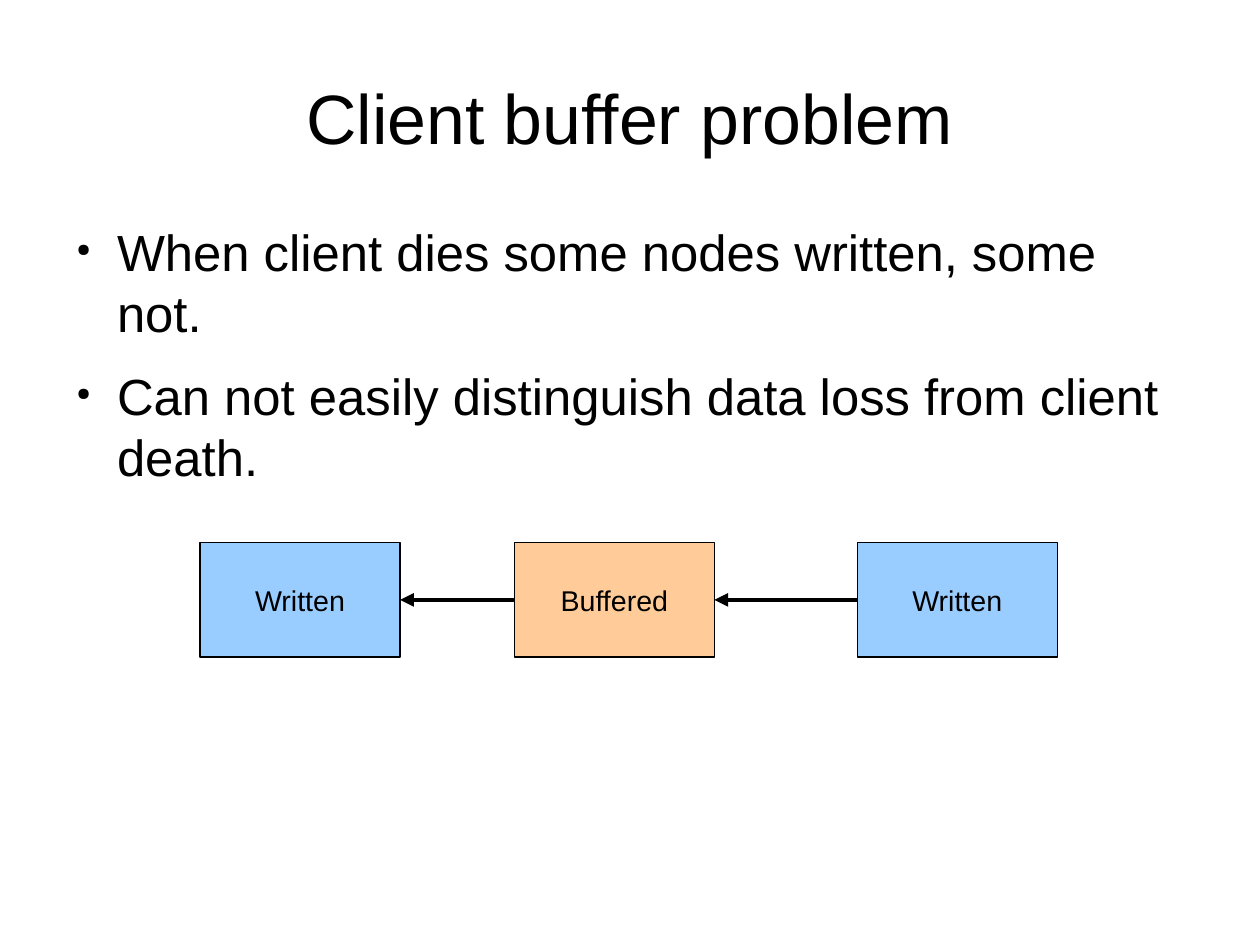
import pptx
import pptx.dml.color
import pptx.enum.shapes
import pptx.enum.text
import pptx.oxml.ns
import pptx.util
from lxml import etree

Pt = pptx.util.Pt
ALIGN = pptx.enum.text.PP_ALIGN
ANCHOR = pptx.enum.text.MSO_ANCHOR
COLORS = {"ink": "000000", "written": "99CCFF", "buffered": "FFCC99"}
LEFT_SITE, RIGHT_SITE = 1, 3


def rgb(name):
    return pptx.dml.color.RGBColor.from_string(COLORS[name])


def add_xml(parent, tag, **attributes):
    return etree.SubElement(parent, pptx.oxml.ns.qn(tag), attributes)


class SlideBuilder:
    font_name = "Arial"

    def __init__(self, slide):
        self.slide = slide

    def style(self, paragraph, size, align):
        paragraph.alignment = align
        paragraph.font.name = self.font_name
        paragraph.font.size = Pt(size)
        paragraph.font.color.rgb = rgb("ink")

    def text_frame(self, left, top, width, height, anchor):
        """Add a wrapping text box without margins and return its frame."""
        box = self.slide.shapes.add_textbox(Pt(left), Pt(top), Pt(width), Pt(height))
        frame = box.text_frame
        frame.word_wrap = True
        frame.vertical_anchor = anchor
        frame.margin_left = frame.margin_right = 0
        frame.margin_top = frame.margin_bottom = 0
        return frame

    def title(self, text, left, top, width, height):
        frame = self.text_frame(left, top, width, height, ANCHOR.MIDDLE)
        frame.text = text
        self.style(frame.paragraphs[0], 44, ALIGN.CENTER)

    def bullets(self, items, left, top, width, height):
        frame = self.text_frame(left, top, width, height, ANCHOR.TOP)
        frame.text = "\n".join(items)
        for paragraph in frame.paragraphs:
            paragraph.space_after = Pt(14.2)
            properties = paragraph._p.get_or_add_pPr()
            properties.set("marL", str(Pt(34)))
            properties.set("indent", str(Pt(-25.5)))
            color = add_xml(properties, "a:buClr")
            add_xml(color, "a:srgbClr", val=COLORS["ink"])
            add_xml(properties, "a:buSzPct", val="35000")
            add_xml(properties, "a:buChar", char="●")
            self.style(paragraph, 32, ALIGN.LEFT)

    def node(self, label, fill, left, top, width, height):
        node = self.slide.shapes.add_shape(
            pptx.enum.shapes.MSO_SHAPE.RECTANGLE, Pt(left), Pt(top), Pt(width), Pt(height))
        node.shadow.inherit = False
        node.fill.solid()
        node.fill.fore_color.rgb = rgb(fill)
        node.line.color.rgb = rgb("ink")
        node.line.width = Pt(0)
        node.text_frame.text = label
        node.text_frame.vertical_anchor = ANCHOR.MIDDLE
        self.style(node.text_frame.paragraphs[0], 18, ALIGN.CENTER)
        return node

    def arrow(self, source, target):
        """Point from the left side of source to the right side of target."""
        arrow = self.slide.shapes.add_connector(
            pptx.enum.shapes.MSO_CONNECTOR.STRAIGHT, 0, 0, 0, 0)
        arrow.begin_connect(source, LEFT_SITE)
        arrow.end_connect(target, RIGHT_SITE)
        arrow.line.color.rgb = rgb("ink")
        arrow.line.width = Pt(2.89)
        add_xml(arrow.line._get_or_add_ln(), "a:tailEnd", type="triangle")
        add_xml(arrow._element.spPr, "a:effectLst")


def main():
    deck = pptx.Presentation()
    deck.slide_width, deck.slide_height = Pt(793.7), Pt(595.28)
    builder = SlideBuilder(deck.slides.add_slide(deck.slide_layouts[6]))

    builder.title("Client buffer problem", 39.7, 23.8, 714.3, 99.4)
    builder.bullets(
        ["When client dies some nodes written, some not.",
         "Can not easily distinguish data loss from client death."],
        39.7, 139, 708, 393)

    chain = [("Written", "written", 126), ("Buffered", "buffered", 324),
             ("Written", "written", 540)]
    nodes = [builder.node(label, fill, left, 341.9, 126, 72) for label, fill, left in chain]
    for target, source in zip(nodes, nodes[1:]):
        builder.arrow(source, target)

    deck.save("out.pptx")


if __name__ == "__main__":
    main()
